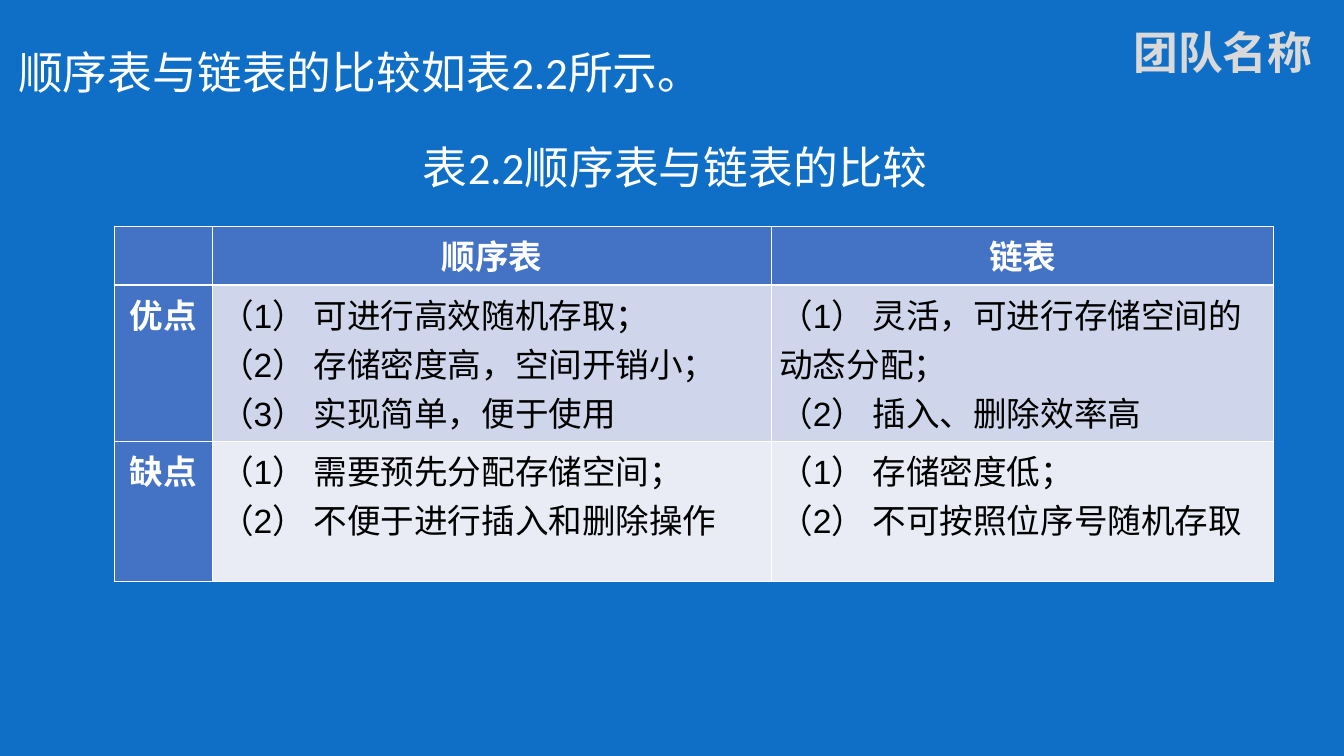
import pptx
import pptx.dml.color
import pptx.enum.text
import pptx.oxml
import pptx.oxml.ns
import pptx.util
from dataclasses import dataclass

Pt = pptx.util.Pt
ALIGN = pptx.enum.text.PP_ALIGN
TOP = pptx.enum.text.MSO_ANCHOR.TOP

# Content
TEAM_NAME = ["团队名称"]
TITLE_LINES = ["顺序表与链表的比较如表2.2所示。", "表2.2顺序表与链表的比较"]
COMPARISON = [
    [[], ["顺序表"], ["链表"]],
    [
        ["优点"],
        ["（1） 可进行高效随机存取；", "（2） 存储密度高，空间开销小；", "（3） 实现简单，便于使用"],
        ["（1） 灵活，可进行存储空间的动态分配；", "（2） 插入、删除效率高"],
    ],
    [
        ["缺点"],
        ["（1） 需要预先分配存储空间；", "（2） 不便于进行插入和删除操作"],
        ["（1） 存储密度低；", "（2） 不可按照位序号随机存取"],
    ],
]

# Places in points: left, top, width, height
SLIDE_SIZE = (960.48, 540)
TEAM_BOX = (802.8, 14.4, 157, 46)
TITLE_BOX = (5.76, 9.36, 954, 171.36)
TABLE_CORNER = (81.36, 161.28)
COLUMN_WIDTHS = (70.6, 399.6, 358.5)
ROW_HEIGHTS = (31, 110.2, 100.1)


@dataclass(frozen=True)
class Theme:
    background: str = "0F6FC6"
    team: str = "D9D9D9"
    white: str = "FFFFFF"
    black: str = "000000"
    header: str = "4472C4"
    bands: tuple = ("CFD5EA", "E9EBF5")
    asian_font: str = "Noto Sans CJK SC"
    title_font: str = "Calibri"
    table_font: str = "Arial"
    title_size: float = 32
    table_size: float = 24
    thin_line: float = 0.45
    thick_line: float = 1.47


THEME = Theme()


def set_values(target, values):
    for name, value in values.items():
        setattr(target, name, value)


def place(shape, box):
    lengths = [Pt(length) for length in box]
    set_values(shape, dict(zip(("left", "top", "width", "height"), lengths)))


def write_lines(text_frame, lines, font_name, size, color, bold, alignments, **spacing):
    """Write one paragraph per line; the last alignment serves all further lines."""
    for index, line in enumerate(lines):
        paragraph = text_frame.add_paragraph() if index else text_frame.paragraphs[0]
        paragraph.alignment = alignments[min(index, len(alignments) - 1)]
        set_values(paragraph, spacing)
        if index == 0:
            paragraph.space_before = Pt(0)
        run = paragraph.add_run()
        run.text = line
        set_values(run.font, {"name": font_name, "size": Pt(size), "bold": bold})
        run.font.color.rgb = pptx.dml.color.RGBColor.from_string(color)
        asian = pptx.oxml.parse_xml(
            f'<a:ea {pptx.oxml.ns.nsdecls("a")} typeface="{THEME.asian_font}"/>')
        run.font._element.append(asian)


def set_borders(cell, widths):
    """Draw the left, right, top and bottom borders."""
    properties = cell._tc.get_or_add_tcPr()
    for index, (side, width) in enumerate(zip("LRTB", widths)):
        border = pptx.oxml.parse_xml(
            f'<a:ln{side} {pptx.oxml.ns.nsdecls("a")} w="{Pt(width)}">'
            f'<a:solidFill><a:srgbClr val="{THEME.white}"/></a:solidFill></a:ln{side}>')
        properties.insert(index, border)


def add_comparison(slide):
    table = slide.shapes.add_table(
        len(ROW_HEIGHTS), len(COLUMN_WIDTHS), *map(Pt, TABLE_CORNER),
        Pt(sum(COLUMN_WIDTHS)), Pt(sum(ROW_HEIGHTS))).table
    for column, width in zip(table.columns, COLUMN_WIDTHS):
        column.width = Pt(width)
    for row, height in zip(table.rows, ROW_HEIGHTS):
        row.height = Pt(height)

    for row_index, row in enumerate(COMPARISON):
        for column_index, lines in enumerate(row):
            cell = table.cell(row_index, column_index)
            is_header = row_index == 0 or column_index == 0
            fill = THEME.header if is_header else THEME.bands[row_index - 1]
            cell.fill.solid()
            cell.fill.fore_color.rgb = pptx.dml.color.RGBColor.from_string(fill)
            set_values(cell, {"margin_left": Pt(5.4), "margin_right": Pt(5.4),
                              "margin_top": Pt(3.6), "margin_bottom": Pt(3.6),
                              "vertical_anchor": TOP})
            write_lines(cell.text_frame, lines, THEME.table_font, THEME.table_size,
                        THEME.white if is_header else THEME.black, is_header,
                        [ALIGN.CENTER if is_header else ALIGN.LEFT])
            top = THEME.thick_line if row_index == 1 else THEME.thin_line
            bottom = THEME.thick_line if row_index == 0 else THEME.thin_line
            set_borders(cell, (THEME.thin_line, THEME.thin_line, top, bottom))


def main():
    presentation = pptx.Presentation()
    presentation.slide_width, presentation.slide_height = map(Pt, SLIDE_SIZE)
    slide = presentation.slides.add_slide(presentation.slide_layouts[5])
    slide.background.fill.solid()
    slide.background.fill.fore_color.rgb = pptx.dml.color.RGBColor.from_string(THEME.background)

    # Title and table caption
    frame_format = {"word_wrap": True, "vertical_anchor": TOP,
                    "auto_size": pptx.enum.text.MSO_AUTO_SIZE.NONE}
    title = slide.shapes.title
    place(title, TITLE_BOX)
    set_values(title.text_frame, frame_format)
    write_lines(title.text_frame, TITLE_LINES, THEME.title_font, THEME.title_size,
                THEME.white, False, [ALIGN.JUSTIFY, ALIGN.CENTER],
                line_spacing=1.5, space_before=Pt(10))

    # Team name
    team = slide.shapes.add_textbox(*map(Pt, TEAM_BOX))
    set_values(team.text_frame, frame_format)
    write_lines(team.text_frame, TEAM_NAME, THEME.asian_font, THEME.title_size,
                THEME.team, True, [ALIGN.LEFT])

    # Comparison table
    add_comparison(slide)
    presentation.save("out.pptx")


if __name__ == "__main__":
    main()
